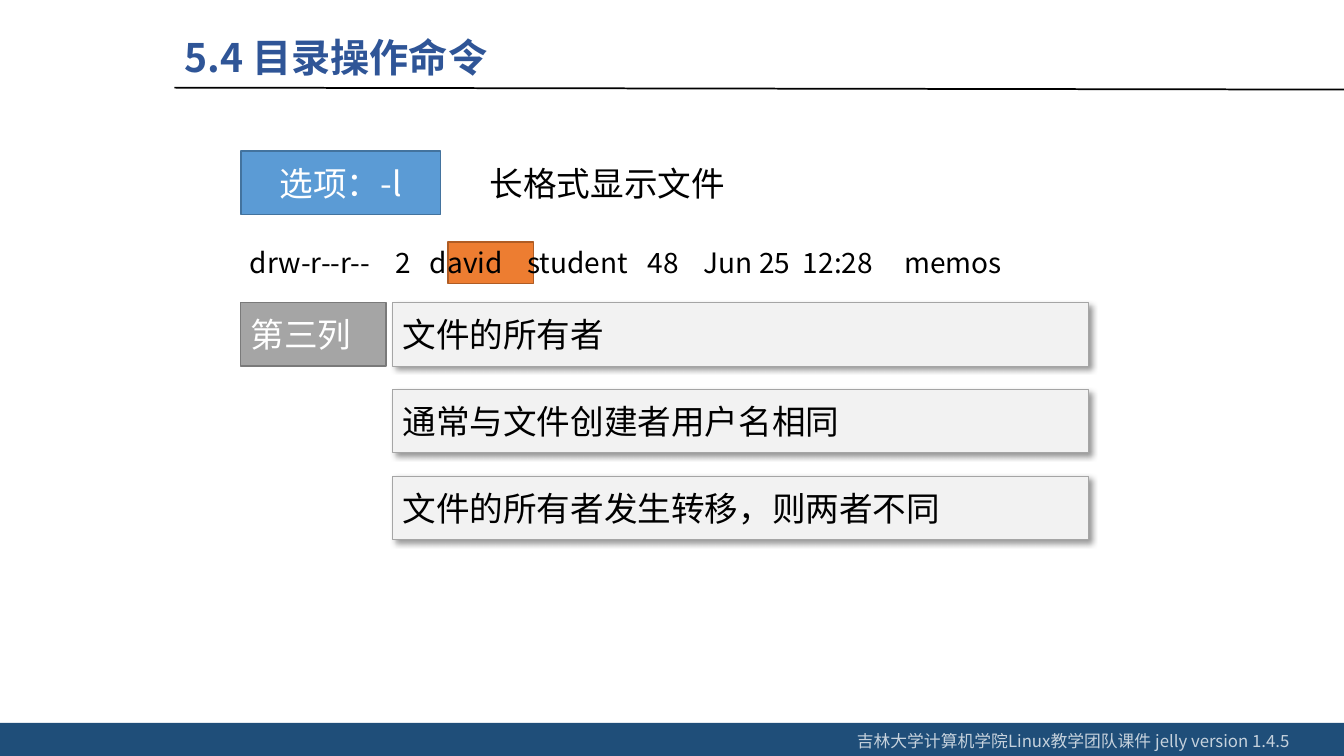
from lxml.etree import SubElement
from pptx import Presentation
from pptx.dml.color import RGBColor
from pptx.enum.shapes import MSO_CONNECTOR, MSO_SHAPE
from pptx.enum.text import MSO_ANCHOR, MSO_AUTO_SIZE, PP_ALIGN
from pptx.oxml.ns import qn
from pptx.util import Pt

FONT = "Noto Sans CJK SC"
BLACK = RGBColor(0x00, 0x00, 0x00)
WHITE = RGBColor(0xFF, 0xFF, 0xFF)
TITLE_BLUE = RGBColor(0x2F, 0x55, 0x97)
FOOTER_BLUE = RGBColor(0x1F, 0x4E, 0x79)
OPTION_BLUE = RGBColor(0x5B, 0x9B, 0xD5)
OPTION_EDGE = RGBColor(0x43, 0x73, 0x9E)
ORANGE = RGBColor(0xED, 0x7D, 0x31)
ORANGE_EDGE = RGBColor(0xAF, 0x5C, 0x24)
GRAY = RGBColor(0xA5, 0xA5, 0xA5)
GRAY_EDGE = RGBColor(0x7A, 0x7A, 0x7A)
PALE_GRAY = RGBColor(0xF2, 0xF2, 0xF2)

BOX_LEFT = 172
BOX_HEIGHT = 45.4
NOTE_TOP = 216
NOTE_PITCH = 62
NOTES = ["文件的所有者", "通常与文件创建者用户名相同", "文件的所有者发生转移，则两者不同"]

# Each field of the long listing with its tab stop, in points.
LISTING = [
    ("drw-r--r--", 0), ("2", 104.3), ("david", 128.6), ("student", 198.2),
    ("48", 284.3), ("Jun 25", 324.3), ("12:28", 395), ("memos", 467.5),
]


def set_format(target, values):
    for name, value in values.items():
        setattr(target, name, value)


def place(shape, left, top, width, height):
    set_format(shape, {"left": Pt(left), "top": Pt(top),
                       "width": Pt(width), "height": Pt(height)})


def write_text(shape, text, size, color, bold=False,
               align=PP_ALIGN.LEFT, anchor=MSO_ANCHOR.MIDDLE):
    """Fill the shape with one paragraph and return its only span."""
    set_format(shape.text_frame, {"word_wrap": True, "vertical_anchor": anchor,
                                  "auto_size": MSO_AUTO_SIZE.NONE})
    para = shape.text_frame.paragraphs[0]
    para.alignment = align
    span = para.add_run()
    span.text = text
    set_format(span.font, {"name": FONT, "size": Pt(size), "bold": bold})
    span.font.color.rgb = color
    SubElement(span.font._element, qn("a:ea"), typeface=FONT)
    return span


def add_text(page, bounds, text, size, color, **layout):
    box = page.shapes.add_textbox(*map(Pt, bounds))
    return box, write_text(box, text, size, color, **layout)


def add_box(page, bounds, fill, edge=None, edge_width=1):
    box = page.shapes.add_shape(MSO_SHAPE.RECTANGLE, *map(Pt, bounds))
    box.shadow.inherit = False
    box.fill.solid()
    box.fill.fore_color.rgb = fill
    if edge is None:
        box.line.fill.background()
    else:
        box.line.color.rgb = edge
        box.line.width = Pt(edge_width)
    return box


def add_soft_shadow(box):
    effects = box._element.spPr.find(qn("a:effectLst"))
    shadow = SubElement(effects, qn("a:outerShdw"), blurRad=str(Pt(4)),
                        dist=str(Pt(3)), dir="2700000", algn="tl",
                        rotWithShape="0")
    color = SubElement(shadow, qn("a:srgbClr"), val=str(BLACK))
    SubElement(color, qn("a:alpha"), val="40000")


def add_footer(page):
    add_box(page, (0, 516.4, 960, 25.6), FOOTER_BLUE)
    _, span = add_text(page, (605, 518.4, 355, 21.6),
                       "吉林大学计算机学院Linux教学团队课件 jelly version 1.4.5",
                       12, WHITE, anchor=MSO_ANCHOR.TOP)
    color = span.font._element.find(".//" + qn("a:srgbClr"))
    SubElement(color, qn("a:alpha"), val="75000")


def add_title(page):
    title = page.shapes.title
    place(title, 124.6, 20.2, 399.6, 41)
    write_text(title, "5.4 目录操作命令", 28, TITLE_BLUE, bold=True,
               anchor=MSO_ANCHOR.TOP)
    rule = page.shapes.add_connector(MSO_CONNECTOR.STRAIGHT, Pt(124.6),
                                     Pt(62.6), Pt(960), Pt(64))
    rule.line.color.rgb = BLACK
    rule.line.width = Pt(1.25)
    SubElement(rule._element.spPr, qn("a:effectLst"))


def add_listing(page):
    add_box(page, (320, 172.8, 61.2, 29.6), ORANGE, ORANGE_EDGE)
    text = "\t".join(field for field, _ in LISTING)
    box, _ = add_text(page, (171.4, 172, 641.5, 31.7), text, 20, BLACK,
                      anchor=MSO_ANCHOR.TOP)
    properties = box.text_frame.paragraphs[0]._p.get_or_add_pPr()
    stops = SubElement(properties, qn("a:tabLst"))
    for _, position in LISTING[1:]:
        SubElement(stops, qn("a:tab"), pos=str(Pt(position)), algn="l")


def add_notes(page):
    column = add_box(page, (BOX_LEFT, NOTE_TOP, 103.7, BOX_HEIGHT), GRAY, GRAY_EDGE)
    write_text(column, "第三列", 24, WHITE)
    for row, text in enumerate(NOTES):
        bounds = (280.5, NOTE_TOP + row * NOTE_PITCH, 496.8, BOX_HEIGHT)
        note = add_box(page, bounds, PALE_GRAY, GRAY, 0.5)
        add_soft_shadow(note)
        write_text(note, text, 24, BLACK)


def main():
    deck = Presentation()
    set_format(deck, {"slide_width": Pt(960), "slide_height": Pt(540)})
    page = deck.slides.add_slide(deck.slide_layouts.get_by_name("Title Only"))
    add_footer(page)
    add_title(page)
    option = add_box(page, (BOX_LEFT, 107.8, 142.6, BOX_HEIGHT), OPTION_BLUE, OPTION_EDGE)
    write_text(option, "选项：-l", 24, WHITE, align=PP_ALIGN.CENTER)
    add_text(page, (342.7, 107.8, 400.3, BOX_HEIGHT), "长格式显示文件", 24, BLACK)
    add_listing(page)
    add_notes(page)
    deck.save("out.pptx")


if __name__ == "__main__":
    main()
